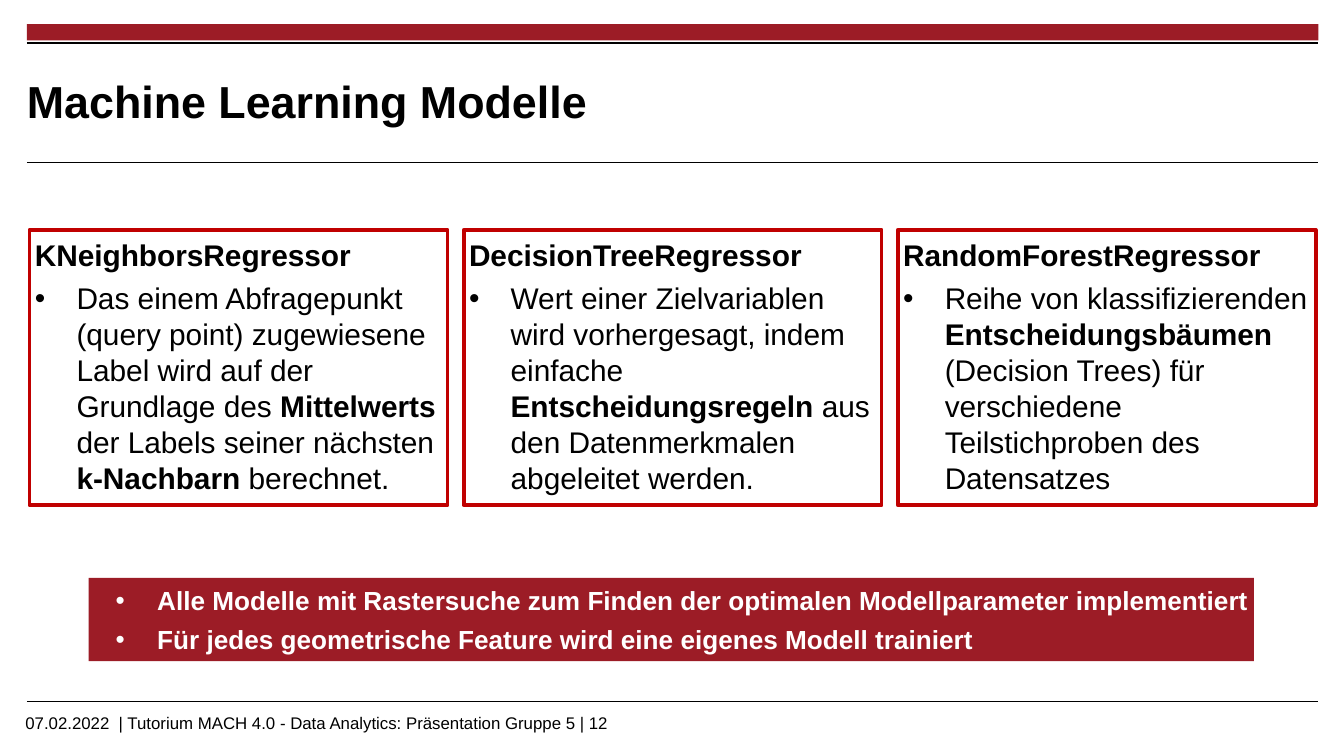
from pptx import Presentation
from pptx.dml.color import RGBColor
from pptx.enum.shapes import MSO_CONNECTOR as CONN, MSO_SHAPE as SHAPE
from pptx.enum.text import MSO_ANCHOR as ANCHOR, PP_ALIGN as ALIGN
from pptx.oxml.ns import qn
from pptx.util import Inches, Pt
from lxml import etree

TITLE = "Machine Learning Modelle"
FOOTER = "07.02.2022  | Tutorium MACH 4.0 - Data Analytics: Präsentation Gruppe 5 | 12"
MODELS = [
    ("KNeighborsRegressor", [
        ("Das einem Abfragepunkt (query point) zugewiesene Label wird auf der Grundlage des ", False),
        ("Mittelwerts", True),
        (" der Labels seiner nächsten ", False),
        ("k-Nachbarn", True),
        (" berechnet.", False)]),
    ("DecisionTreeRegressor", [
        ("Wert einer Zielvariablen wird vorhergesagt, indem einfache ", False),
        ("Entscheidungsregeln", True),
        (" aus den Datenmerkmalen abgeleitet werden.", False)]),
    ("RandomForestRegressor", [
        ("Reihe von klassifizierenden ", False),
        ("Entscheidungsbäumen", True),
        (" (Decision Trees) für verschiedene Teilstichproben des Datensatzes", False)]),
]
SUMMARY = [
    "Alle Modelle mit Rastersuche zum Finden der optimalen Modellparameter implementiert",
    "Für jedes geometrische Feature wird eine eigenes Modell trainiert",
]
RED, FRAME, BLACK, WHITE = "9C1C26", "C00000", "000000", "FFFFFF"
LEFT, RIGHT = 0.2, 9.81
RULES = [(0.32, 1.2), (1.21, 0.6), (5.22, 0.6)]
CARD_LEFT, CARD_TOP, CARD_W, CARD_H, CARD_STEP = 0.22, 1.71, 3.11, 2.05, 3.23


def color(value):
    return RGBColor.from_string(value)


def add_rule(s, y, width):
    line = s.shapes.add_connector(CONN.STRAIGHT, Inches(LEFT), Inches(y), Inches(RIGHT), Inches(y))
    line.line.color.rgb = color(BLACK)
    line.line.width = Pt(width)
    etree.SubElement(line._element.spPr, qn("a:effectLst"))


def add_rect(s, x, y, w, h, fill=None, outline=None):
    sp = s.shapes.add_shape(SHAPE.RECTANGLE, Inches(x), Inches(y), Inches(w), Inches(h))
    sp.shadow.inherit = False
    if fill:
        sp.fill.solid()
        sp.fill.fore_color.rgb = color(fill)
    else:
        sp.fill.background()
    if outline:
        sp.line.color.rgb = color(outline)
        sp.line.width = Pt(2)
    else:
        sp.line.fill.background()
    return sp


def add_text(s, x, y, w, h):
    return s.shapes.add_textbox(Inches(x), Inches(y), Inches(w), Inches(h))


def setup_frame(sp, dx, dy, anchor=ANCHOR.TOP):
    tf = sp.text_frame
    tf.word_wrap = True
    tf.margin_left = tf.margin_right = Inches(dx)
    tf.margin_top = tf.margin_bottom = Inches(dy)
    tf.vertical_anchor = anchor
    return tf


def write(p, runs, size, font_color=BLACK):
    p.alignment = ALIGN.LEFT
    for text, bold in runs:
        r = p.add_run()
        r.text = text
        r.font.name = "Arial"
        r.font.size = Pt(size)
        r.font.bold = bold
        r.font.color.rgb = color(font_color)


def space(p, first):
    p.space_before = Pt(0 if first else 2)
    p.space_after = Pt(2.2)


def bullet(p, indent):
    pPr = p._p.get_or_add_pPr()
    pPr.set("marL", str(Inches(indent)))
    pPr.set("indent", str(Inches(-0.31)))
    etree.SubElement(pPr, qn("a:buFont"), typeface="Arial")
    etree.SubElement(pPr, qn("a:buChar"), char="•")


def add_card(s, x, heading, body):
    tf = setup_frame(add_text(s, x + 0.04, CARD_TOP, CARD_W - 0.04, CARD_H), 0, 0.05)
    p = tf.paragraphs[0]
    space(p, True)
    write(p, [(heading, True)], 16)
    p = tf.add_paragraph()
    space(p, False)
    bullet(p, 0.31)
    write(p, body, 16)
    add_rect(s, x, CARD_TOP, CARD_W, CARD_H, outline=FRAME)


def add_summary(s):
    tf = setup_frame(add_rect(s, 0.66, 4.3, 8.67, 0.62, fill=RED), 0, 0.05)
    for i, text in enumerate(SUMMARY):
        p = tf.add_paragraph() if i else tf.paragraphs[0]
        p.level = 1
        space(p, i == 0)
        bullet(p, 0.51)
        write(p, [(text, True)], 14, WHITE)


def main():
    prs = Presentation()
    prs.slide_width = Inches(10)
    prs.slide_height = prs.slide_width * 9 // 16
    s = prs.slides.add_slide(prs.slide_layouts[6])
    add_rect(s, LEFT, 0.18, RIGHT - LEFT, 0.12, fill=RED)
    for y, width in RULES:
        add_rule(s, y, width)
    tf = setup_frame(add_text(s, LEFT, 0.4, 7.45, 0.69), 0, 0, ANCHOR.MIDDLE)
    write(tf.paragraphs[0], [(TITLE, True)], 24)
    for i, (heading, body) in enumerate(MODELS):
        add_card(s, CARD_LEFT + i * CARD_STEP, heading, body)
    add_summary(s)
    tf = setup_frame(add_text(s, 0.09, 5.25, 7.95, 0.19), 0.1, 0.05)
    write(tf.paragraphs[0], [(FOOTER, False)], 9)
    prs.save("out.pptx")


if __name__ == "__main__":
    main()
